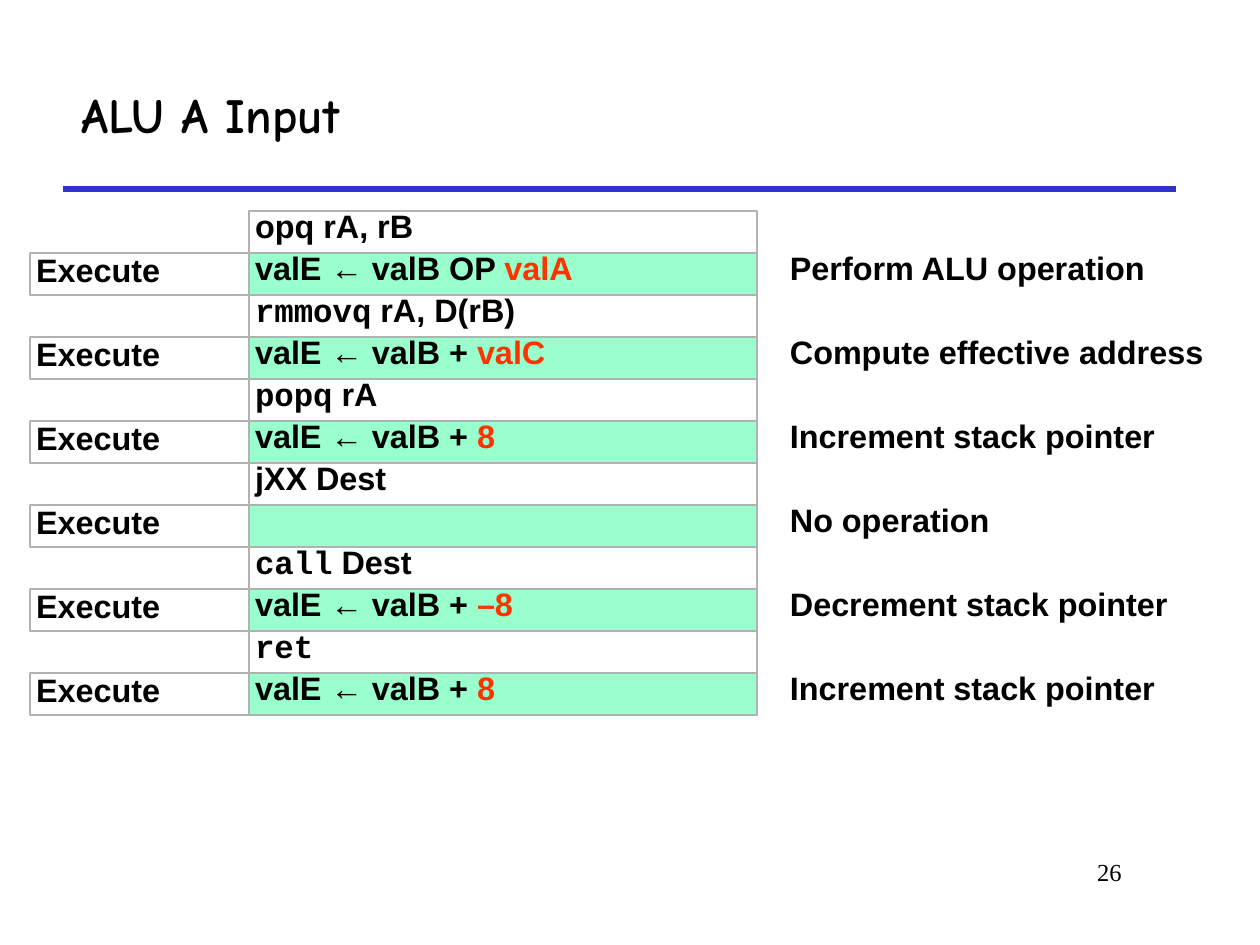
from lxml.etree import SubElement
from pptx import Presentation
from pptx.dml.color import RGBColor
from pptx.enum.shapes import MSO_CONNECTOR as CONNECTOR, MSO_SHAPE as SHAPE
from pptx.enum.text import MSO_ANCHOR as ANCHOR, PP_ALIGN as ALIGN
from pptx.oxml.ns import qn
from pptx.util import Pt

PX = 914400 / 126
BLACK = RGBColor(0x00, 0x00, 0x00)
BLUE = RGBColor(0x33, 0x33, 0xCC)
GRAY = RGBColor(0xB2, 0xB2, 0xB2)
MINT = RGBColor(0x99, 0xFF, 0xCC)
RED = RGBColor(0xFF, 0x33, 0x00)

TOP, ROW_H = 211, 42
STAGE_X, STAGE_W = 30, 219
STEP_X, STEP_W = 249, 508
NOTE_X, NOTE_W = 784, 476

INSTRUCTIONS = [
    ("", "opq rA, rB", "valE ← valB OP ", "valA", "Perform ALU operation"),
    ("rmmovq", " rA, D(rB)", "valE ← valB + ", "valC", "Compute effective address"),
    ("popq", " rA", "valE ← valB + ", "8", "Increment stack pointer"),
    ("", "jXX Dest", "", "", "No operation"),
    ("call", " Dest", "valE ← valB + ", "–8", "Decrement stack pointer"),
    ("ret", "", "valE ← valB + ", "8", "Increment stack pointer"),
]

prs = Presentation()
prs.slide_width, prs.slide_height = round(1260 * PX), round(945 * PX)
s = prs.slides.add_slide(prs.slide_layouts[6])


def add_text(x, y, w, h, text, font, size, bold=False):
    sp = s.shapes.add_textbox(*(round(v * PX) for v in (x, y, w, h)))
    sp.text_frame.word_wrap = True
    p = sp.text_frame.paragraphs[0]
    p.text = text
    p.font.name, p.font.size, p.font.bold = font, Pt(size), bold
    p.font.color.rgb = BLACK
    return sp


def add_cell(x, y, w, runs, fill=None, anchor=ANCHOR.TOP, border=True):
    sp = s.shapes.add_shape(SHAPE.RECTANGLE, *(round(v * PX) for v in (x, y, w, ROW_H)))
    sp.shadow.inherit = False
    if fill:
        sp.fill.solid()
        sp.fill.fore_color.rgb = fill
    else:
        sp.fill.background()
    if border:
        sp.line.color.rgb = GRAY
        sp.line.width = Pt(1.5)
    else:
        sp.line.fill.background()
    tf = sp.text_frame
    tf.word_wrap = True
    tf.vertical_anchor = anchor
    tf.margin_left = tf.margin_right = tf.margin_top = tf.margin_bottom = round(6 * PX)
    p = tf.paragraphs[0]
    p.alignment = ALIGN.LEFT
    p.line_spacing = 0.7
    p.space_before = Pt(12.5)
    p.font.name, p.font.size, p.font.bold = "Arial", Pt(18.5), True
    p.font.color.rgb = BLACK
    for text, font, color in runs:
        if text:
            r = p.add_run()
            r.text = text
            if font:
                r.font.name = font
            r.font.color.rgb = color


rule = s.shapes.add_connector(
    CONNECTOR.STRAIGHT, *(round(v * PX) for v in (63, 189, 1176, 189)))
rule.line.color.rgb = BLUE
rule.line.width = Pt(3)
SubElement(rule.element.spPr, qn("a:effectLst"))

title = add_text(69, 60, 1106, 107, "ALU A Input", "Comic Neue", 28, True)
title.text_frame.vertical_anchor = ANCHOR.MIDDLE
number = add_text(955, 851, 179, 63, "26", "Times New Roman", 14)
number.text_frame.paragraphs[0].alignment = ALIGN.RIGHT

for i, (mnemonic, operands, formula, operand, note) in enumerate(INSTRUCTIONS):
    y = TOP + 2 * i * ROW_H
    add_cell(STEP_X, y, STEP_W,
             [(mnemonic, "Courier New", BLACK), (operands, None, BLACK)])
    y += ROW_H
    add_cell(STAGE_X, y, STAGE_W, [("Execute", None, BLACK)], anchor=ANCHOR.MIDDLE)
    add_cell(STEP_X, y, STEP_W,
             [(formula, None, BLACK), (operand, None, RED)], fill=MINT)
    add_cell(NOTE_X, y, NOTE_W, [(note, None, BLACK)], border=False)

prs.save("out.pptx")
